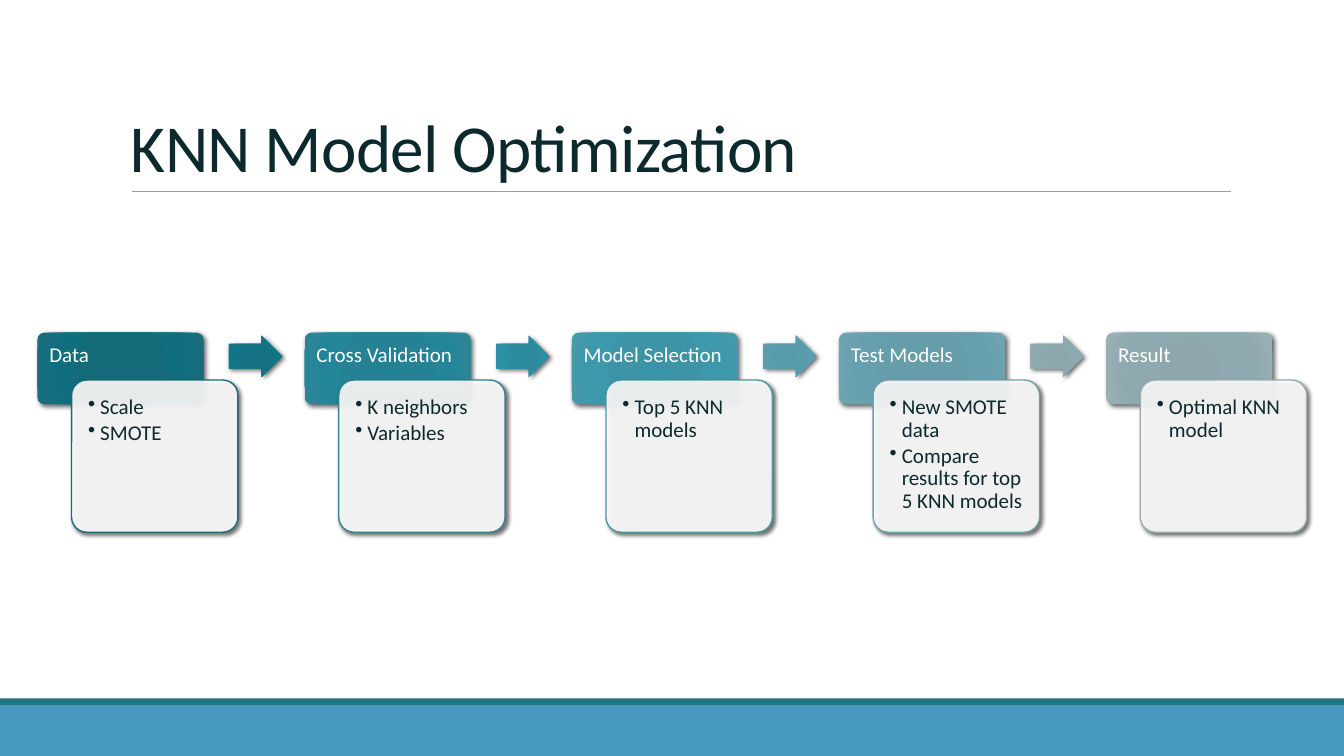
from lxml import etree
from pptx import Presentation
from pptx.dml.color import RGBColor
from pptx.enum.shapes import MSO_CONNECTOR, MSO_SHAPE
from pptx.enum.text import MSO_ANCHOR, PP_ALIGN
from pptx.oxml.ns import qn
from pptx.util import Inches, Pt

RECTANGLE = MSO_SHAPE.RECTANGLE
ROUNDED = MSO_SHAPE.ROUNDED_RECTANGLE
ARROW = MSO_SHAPE.RIGHT_ARROW
STRAIGHT = MSO_CONNECTOR.STRAIGHT
TOP, BOTTOM = MSO_ANCHOR.TOP, MSO_ANCHOR.BOTTOM
LEFT = PP_ALIGN.LEFT

FONT = "Calibri"
COLORS = {
    "white": "FFFFFF",
    "text": "0C292E",
    "rule": "9E9E9E",
    "footer": "4698C0",
    "footer_edge": "227583",
    "shadow": "000000",
}
STOPS = (0, 34, 70, 100)

# Heading, bullets, heading gradient, card outline, gradient of the arrow that follows
STAGES = [
    ("Data", ["Scale", "SMOTE"],
     ["116B7B", "136B7A", "116E7E", "1B6D7B"], "1F6A77",
     ["117281", "137181", "117585", "1B7382"]),
    ("Cross Validation", ["K neighbors", "Variables"],
     ["228294", "258294", "238598", "2E8596"], "338291",
     ["2A8B9F", "2D8B9E", "2C8FA3", "378FA1"]),
    ("Model Selection", ["Top 5 KNN models"],
     ["3A94A7", "3D94A7", "3C98AB", "4899AA"], "4C96A6",
     ["559AAB", "589BAB", "579EAF", "62A1B1"]),
    ("Test Models", ["New SMOTE data", "Compare results for top 5 KNN models"],
     ["639CA9", "659DAA", "66A0AE", "70A4B0"], "73A2AD",
     ["8AA4AC", "8CA6AD", "8DA9B0", "97AFB5"]),
    ("Result", ["Optimal KNN model"],
     ["8BA5AB", "8DA7AD", "8EAAB0", "98B0B5"], "99AFB4", None),
]
FIRST_LEFT, STAGE_STEP = 0.37, 2.65


def add_element(parent, tag, **attributes):
    element = etree.SubElement(parent, qn(tag))
    for name, value in attributes.items():
        element.set(name, str(value))
    return element


class SlideBuilder:
    def __init__(self, slide):
        self.slide = slide

    def shape(self, kind, left, top, width, height, fill=None, adjustments=()):
        shape = self.slide.shapes.add_shape(
            kind, Inches(left), Inches(top), Inches(width), Inches(height))
        shape.shadow.inherit = False
        shape.line.fill.background()
        if fill:
            shape.fill.solid()
            shape.fill.fore_color.rgb = RGBColor.from_string(fill)
        for index, value in enumerate(adjustments):
            shape.adjustments[index] = value
        return shape

    def gradient(self, shape, colors):
        fill = etree.Element(qn("a:gradFill"), rotWithShape="1")
        stops = add_element(fill, "a:gsLst")
        for position, color in zip(STOPS, colors):
            stop = add_element(stops, "a:gs", pos=position * 1000)
            add_element(stop, "a:srgbClr", val=color)
        circle = add_element(fill, "a:path", path="circle")
        add_element(circle, "a:fillToRect", l=100000, t=100000, r=100000, b=100000)
        shape._element.spPr.find(qn("a:prstGeom")).addnext(fill)

    def shadow(self, shape, blur):
        effects = shape._element.spPr.find(qn("a:effectLst"))
        outer = add_element(effects, "a:outerShdw", blurRad=Pt(blur), dist=Pt(2),
                            dir=45 * 60000, algn="br", rotWithShape=0)
        color = add_element(outer, "a:srgbClr", val=COLORS["shadow"])
        add_element(color, "a:alpha", val=60000)

    def text(self, shape, lines, size, color, margins, anchor=TOP,
             spacing=0.9, after=0, bullets=False):
        frame = shape.text_frame
        frame.word_wrap = True
        frame.vertical_anchor = anchor
        (frame.margin_left, frame.margin_top,
         frame.margin_right, frame.margin_bottom) = map(Inches, margins)
        frame.text = "\n".join(lines)
        for para in frame.paragraphs:
            para.alignment = LEFT
            para.line_spacing = spacing
            para.space_after = Pt(after)
            if bullets:
                properties = para._p.get_or_add_pPr()
                properties.set("marL", str(Inches(0.12)))
                properties.set("indent", str(Inches(-0.12)))
                add_element(properties, "a:buChar", char="•")
            for span in para.runs:
                span.font.name = FONT
                span.font.size = Pt(size)
                span.font.color.rgb = RGBColor.from_string(color)

    def title(self, wording):
        box = self.slide.shapes.add_textbox(
            Inches(1.2), Inches(0.31), Inches(11), Inches(1.59))
        self.text(box, [wording], 48, COLORS["text"], (0.1, 0.05, 0.1, 0.05),
                  anchor=BOTTOM, spacing=0.85)
        span = box.text_frame.paragraphs[0].runs[0]
        span.font._element.set("spc", "-50")

    def rule(self, left, right, top):
        line = self.slide.shapes.add_connector(
            STRAIGHT, Inches(left), Inches(top), Inches(right), Inches(top))
        line.line.color.rgb = RGBColor.from_string(COLORS["rule"])
        line.line.width = Pt(0.5)
        add_element(line._element.spPr, "a:effectLst")

    def heading(self, left, wording, colors):
        box = self.shape(ROUNDED, left, 3.3, 1.65, 0.71, adjustments=[0.1])
        self.gradient(box, colors)
        self.shadow(box, 3.5)
        self.text(box, [wording], 15, COLORS["white"], (0.1, 0.1, 0.1, 0.06))

    def card(self, left, bullets, outline):
        box = self.shape(ROUNDED, left, 3.77, 1.65, 1.51, COLORS["white"], [0.1])
        fill_color = box._element.spPr.find(qn("a:solidFill"))[0]
        add_element(fill_color, "a:alpha", val=90000)
        box.line.color.rgb = RGBColor.from_string(outline)
        box.line.width = Pt(1)
        self.shadow(box, 3)
        self.text(box, bullets, 15, COLORS["text"], (0.12,) * 4,
                  after=2.25, bullets=True)

    def arrow(self, left, colors):
        arrow = self.shape(ARROW, left, 3.33, 0.53, 0.41, adjustments=[0.6, 0.5])
        self.gradient(arrow, colors)
        self.shadow(arrow, 3.5)


def main():
    deck = Presentation()
    deck.slide_width, deck.slide_height = Inches(13.33), Inches(7.5)
    page = SlideBuilder(deck.slides.add_slide(deck.slide_layouts[6]))

    # Footer bands
    page.shape(RECTANGLE, 0, 7, 13.33, 0.5, COLORS["footer"])
    page.shape(RECTANGLE, 0, 6.93, 13.33, 0.07, COLORS["footer_edge"])

    # Title and its rule
    page.rule(1.31, 12.21, 1.9)
    page.title("KNN Model Optimization")

    # Process stages
    for index, (name, bullets, colors, outline, arrow_colors) in enumerate(STAGES):
        left = FIRST_LEFT + index * STAGE_STEP
        page.heading(left, name, colors)
        page.card(left + 0.34, bullets, outline)
        if arrow_colors:
            page.arrow(left + 1.9, arrow_colors)

    deck.save("out.pptx")


if __name__ == "__main__":
    main()
